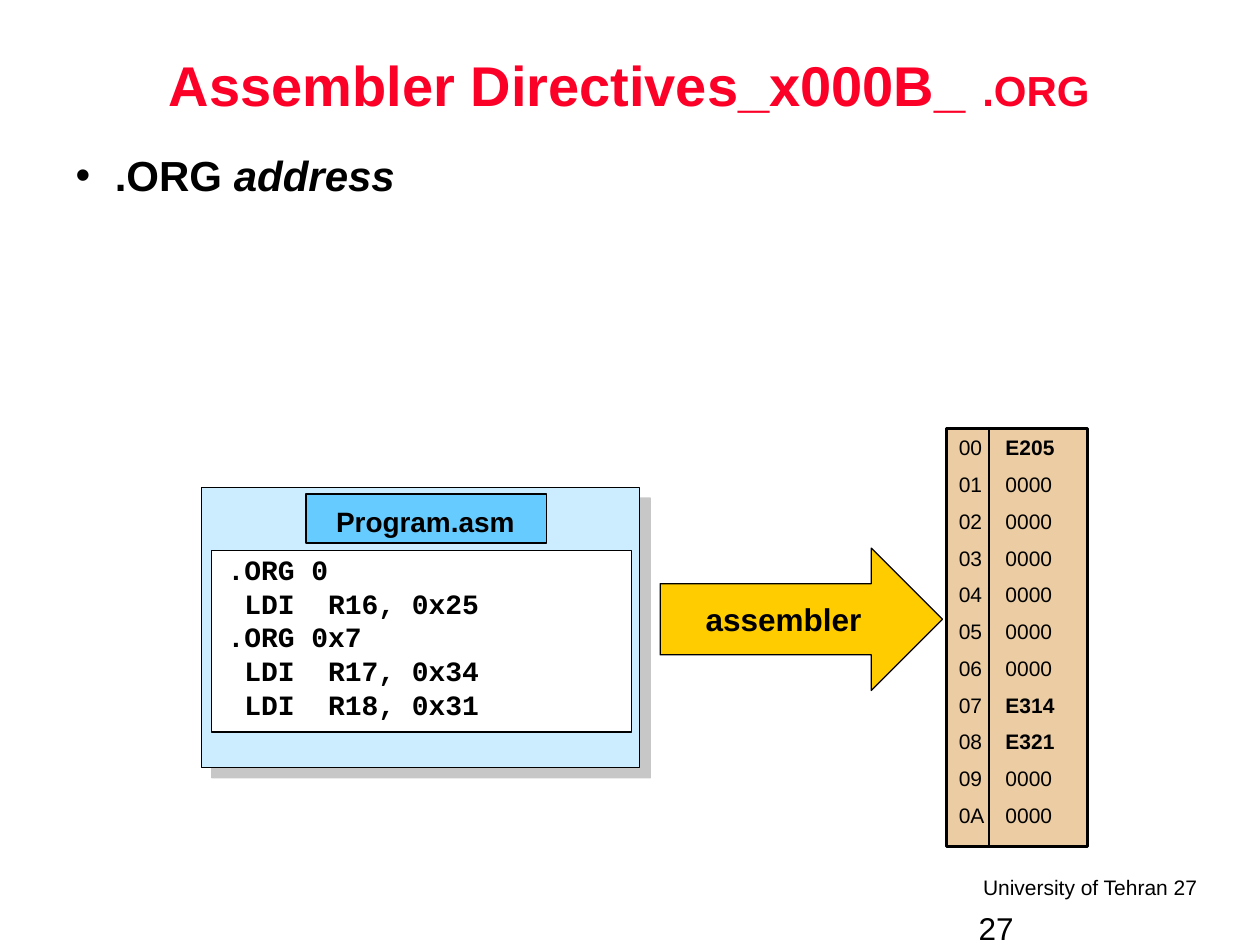
from lxml.etree import SubElement
from pptx import Presentation
from pptx.dml.color import RGBColor
from pptx.enum.shapes import MSO_CONNECTOR, MSO_SHAPE as SHAPE
from pptx.enum.text import MSO_ANCHOR as ANCHOR, MSO_AUTO_SIZE as AUTO, PP_ALIGN as ALIGN
from pptx.oxml.ns import qn
from pptx.util import Cm, Pt

COLORS = {
    "title": "FC0128", "text": "000000", "window": "CCECFF", "panel": "FFFFFF",
    "label": "66CCFF", "memory": "EBCCA3", "arrow": "FFCC00", "shadow": "919191",
}
CODE = [".ORG 0", " LDI  R16, 0x25", ".ORG 0x7", " LDI  R17, 0x34", " LDI  R18, 0x31"]
PROGRAM_WORDS = {0x00: "E205", 0x07: "E314", 0x08: "E321"}
MEMORY_SIZE = 11


def add_span(para, text, size, color="text", name="Arial", **font_values):
    span = para.add_run()
    span.text = text
    span.font.color.rgb = RGBColor.from_string(COLORS[color])
    for key, value in {"name": name, "size": Pt(size), **font_values}.items():
        setattr(span.font, key, value)


def add_block(shapes, kind, place, color, line_width=0.75):
    """Add an outlined preset shape without a theme shadow."""
    block = shapes.add_shape(kind, *map(Cm, place))
    block.shadow.inherit = False
    block.fill.solid()
    block.fill.fore_color.rgb = RGBColor.from_string(COLORS[color])
    block.line.color.rgb = RGBColor.from_string(COLORS["text"])
    block.line.width = Pt(line_width)
    return block


deck = Presentation()
deck.slide_width, deck.slide_height = Cm(25.4), Cm(19.05)
page = deck.slides.add_slide(deck.slide_layouts[1])

# Title and list
title, body = page.placeholders
for holder, place, anchor in [
    (title, (2.74, 0.2, 19.89, 3.18), ANCHOR.MIDDLE),
    (body, (1.27, 3, 23.19, 3.51), ANCHOR.TOP),
]:
    holder.left, holder.top, holder.width, holder.height = map(Cm, place)
    holder.text_frame.auto_size = AUTO.NONE
    holder.text_frame.vertical_anchor = anchor
    holder.text_frame.paragraphs[0].line_spacing = 0.9
    holder.text_frame.paragraphs[0].space_before = Pt(0)

para = title.text_frame.paragraphs[0]
para.alignment = ALIGN.CENTER
add_span(para, "Assembler Directives\v ", 32, "title", bold=True)
add_span(para, ".ORG", 24, "title", bold=True)

para = body.text_frame.paragraphs[0]
add_span(para, ".ORG ", 24, bold=True)
add_span(para, "address", 24, bold=True, italic=True)
props = para._p.get_or_add_pPr()
props.set("marL", str(Cm(0.79)))
props.set("indent", str(-Cm(0.79)))
SubElement(props, qn("a:buChar"), char="•")

# Source program window
program = page.shapes.add_group_shape().shapes
window = add_block(program, SHAPE.RECTANGLE, (4.06, 9.83, 8.84, 5.64), "window")
effects = window._element.spPr.find(qn("a:effectLst"))
shadow = SubElement(effects, qn("a:outerShdw"), blurRad="0", dist=str(Pt(8.5)),
                    dir="2700000", algn="ctr", rotWithShape="0")
shade = SubElement(shadow, qn("a:srgbClr"), val=COLORS["shadow"])
SubElement(shade, qn("a:alpha"), val="50000")
add_block(program, SHAPE.RECTANGLE, (4.27, 11.1, 8.46, 3.66), "panel")
add_block(program, SHAPE.RECTANGLE, (6.17, 9.96, 4.85, 0.99), "label")

# Text boxes: shapes, place, lines, wrap, paragraph values, font values
for shapes, place, lines, wrap, para_values, font_values in [
    (program, (4.34, 11.02, 8.48, 3.66), CODE, True, {"line_spacing": Pt(19.2)},
     {"size": 16, "name": "Courier New", "bold": True}),
    (program, (6.43, 10.05, 4.29, 0.94), ["Program.asm"], True,
     {"alignment": ALIGN.CENTER}, {"size": 16, "bold": True}),
    (page.shapes, (19.46, 17.5, 4.93, 0.76), ["University of Tehran 27"], False,
     {"alignment": ALIGN.RIGHT}, {"size": 12}),
    (page.shapes, (19.48, 18.21, 5.92, 0.84), ["27"], True, {}, {"size": 18}),
]:
    box = shapes.add_textbox(*map(Cm, place))
    frame = box.text_frame
    frame.word_wrap = wrap
    for index, line in enumerate(lines):
        para = frame.add_paragraph() if index else frame.paragraphs[0]
        for key, value in para_values.items():
            setattr(para, key, value)
        add_span(para, line, **font_values)

# Memory: address, tab, stored word
memory = page.shapes.add_group_shape().shapes
cells = add_block(memory, SHAPE.RECTANGLE, (19.08, 8.64, 2.84, 8.43), "memory", 1.5)
frame = cells.text_frame
frame.vertical_anchor = ANCHOR.TOP
for address in range(MEMORY_SIZE):
    para = frame.add_paragraph() if address else frame.paragraphs[0]
    para.alignment = ALIGN.LEFT
    para.space_before = Pt(6.6 if address else 0)
    tabs = SubElement(para._p.get_or_add_pPr(), qn("a:tabLst"))
    SubElement(tabs, qn("a:tab"), pos=str(Cm(0.94)), algn="l")
    add_span(para, f"{address:02X}\t", 12)
    add_span(para, PROGRAM_WORDS.get(address, "0000"), 12, bold=address in PROGRAM_WORDS)

divider = memory.add_connector(MSO_CONNECTOR.STRAIGHT, Cm(19.94), Cm(8.64), Cm(19.94), Cm(17.09))
divider.line.color.rgb = RGBColor.from_string(COLORS["text"])
divider.line.width = Pt(1.5)
SubElement(divider._element.spPr, qn("a:effectLst"))

# Assembler arrow
arrow = add_block(page.shapes, SHAPE.RIGHT_ARROW, (13.31, 11.05, 5.69, 2.87), "arrow")
arrow.adjustments[0], arrow.adjustments[1] = 0.5, 0.5
arrow.text_frame.word_wrap = False
arrow.text_frame.vertical_anchor = ANCHOR.MIDDLE
para = arrow.text_frame.paragraphs[0]
para.alignment = ALIGN.CENTER
add_span(para, "assembler", 18, bold=True)

deck.save("out.pptx")
